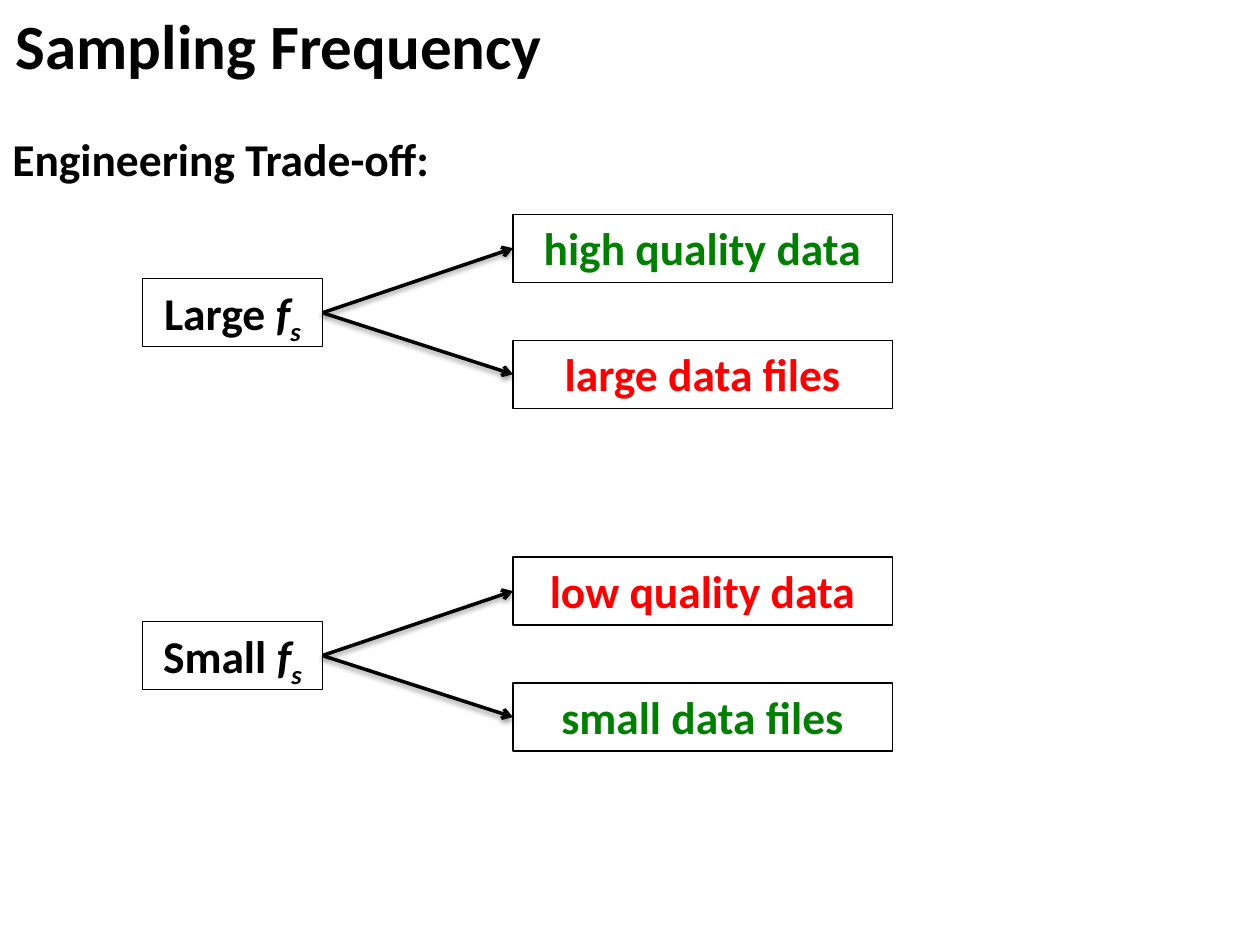
"""Build the sampling frequency trade-off slide."""
from dataclasses import dataclass

from lxml.etree import SubElement
from pptx import Presentation
from pptx.dml.color import RGBColor
from pptx.enum.shapes import MSO_CONNECTOR, MSO_SHAPE
from pptx.enum.text import MSO_ANCHOR, MSO_AUTO_SIZE, PP_ALIGN
from pptx.oxml.ns import qn
from pptx.shapes.autoshape import Shape
from pptx.slide import Slide
from pptx.text.text import _Paragraph
from pptx.util import Cm, Pt

BLACK, GREEN, RED = "000000", "008000", "FF0000"
BOX_HEIGHT = 1.37
CAUSE_LEFT, CAUSE_WIDTH, CAUSE_DROP = 2.87, 3.63, 1.3
EFFECT_LEFT, EFFECT_WIDTH, EFFECT_PITCH = 10.34, 7.65, 2.54
FIRST_TOP, GROUP_PITCH = 4.32, 6.91


@dataclass
class Effect:
    text: str
    color: str


@dataclass
class TradeOff:
    size: str
    effects: tuple[Effect, ...]


TRADE_OFFS = (
    TradeOff("Large", (Effect("high quality data", GREEN), Effect("large data files", RED))),
    TradeOff("Small", (Effect("low quality data", RED), Effect("small data files", GREEN))),
)


def rgb(color: str) -> RGBColor:
    return RGBColor.from_string(color)


def style_paragraph(paragraph: _Paragraph, size: float, color: str) -> None:
    font = paragraph.font
    font.name, font.size, font.bold = "Calibri", Pt(size), True
    font.color.rgb = rgb(color)


def add_heading(slide: Slide, text: str, left: float, top: float, width: float,
                height: float, size: float, wrap: bool) -> None:
    shape = slide.shapes.add_textbox(Cm(left), Cm(top), Cm(width), Cm(height))
    shape.text_frame.word_wrap = wrap
    shape.text_frame.auto_size = MSO_AUTO_SIZE.SHAPE_TO_FIT_TEXT
    paragraph = shape.text_frame.paragraphs[0]
    paragraph.text = text
    style_paragraph(paragraph, size, BLACK)


def add_box(slide: Slide, text: str, left: float, top: float, width: float,
            color: str) -> Shape:
    shape = slide.shapes.add_shape(
        MSO_SHAPE.RECTANGLE, Cm(left), Cm(top), Cm(width), Cm(BOX_HEIGHT))
    shape.shadow.inherit = False
    shape.fill.background()
    shape.line.color.rgb = rgb(BLACK)
    shape.line.width = Pt(0.75)
    frame = shape.text_frame
    frame.word_wrap = True
    frame.auto_size = MSO_AUTO_SIZE.SHAPE_TO_FIT_TEXT
    frame.vertical_anchor = MSO_ANCHOR.TOP
    paragraph = frame.paragraphs[0]
    paragraph.text = text
    paragraph.alignment = PP_ALIGN.CENTER
    style_paragraph(paragraph, 26, color)
    return shape


def add_frequency_symbol(paragraph: _Paragraph) -> None:
    for letter in "fs":
        run = paragraph.add_run()
        run.text = letter
        run.font.italic = True
    run.font._element.set("baseline", "-25000")


def add_arrow(slide: Slide, cause: Shape, effect: Shape) -> None:
    connector = slide.shapes.add_connector(MSO_CONNECTOR.STRAIGHT, 0, 0, 0, 0)
    connector.begin_connect(cause, 3)
    connector.end_connect(effect, 1)
    connector.line.color.rgb = rgb(BLACK)
    connector.line.width = Pt(2)
    SubElement(connector.line._get_or_add_ln(), qn("a:tailEnd"), type="arrow")
    effects = SubElement(connector._element.spPr, qn("a:effectLst"))
    shadow = SubElement(effects, qn("a:outerShdw"), blurRad="40000", dist="20000",
                        dir="5400000", rotWithShape="0")
    shadow_color = SubElement(shadow, qn("a:srgbClr"), val=BLACK)
    SubElement(shadow_color, qn("a:alpha"), val="38000")


def add_trade_off(slide: Slide, trade_off: TradeOff, top: float) -> None:
    cause = add_box(slide, f"{trade_off.size} ", CAUSE_LEFT, top + CAUSE_DROP,
                    CAUSE_WIDTH, BLACK)
    add_frequency_symbol(cause.text_frame.paragraphs[0])
    for row, effect in enumerate(trade_off.effects):
        box = add_box(slide, effect.text, EFFECT_LEFT, top + row * EFFECT_PITCH,
                      EFFECT_WIDTH, effect.color)
        add_arrow(slide, cause, box)


def main() -> None:
    presentation = Presentation()
    presentation.slide_width, presentation.slide_height = Cm(25.4), Cm(19.05)
    slide = presentation.slides.add_slide(presentation.slide_layouts[6])
    add_heading(slide, "Sampling Frequency", 0.07, 0, 11.25, 1.8, 36, wrap=False)
    add_heading(slide, "Engineering Trade-off:", 0, 2.51, 25.4, BOX_HEIGHT, 26, wrap=True)
    for index, trade_off in enumerate(TRADE_OFFS):
        add_trade_off(slide, trade_off, FIRST_TOP + index * GROUP_PITCH)
    presentation.save("out.pptx")


if __name__ == "__main__":
    main()
